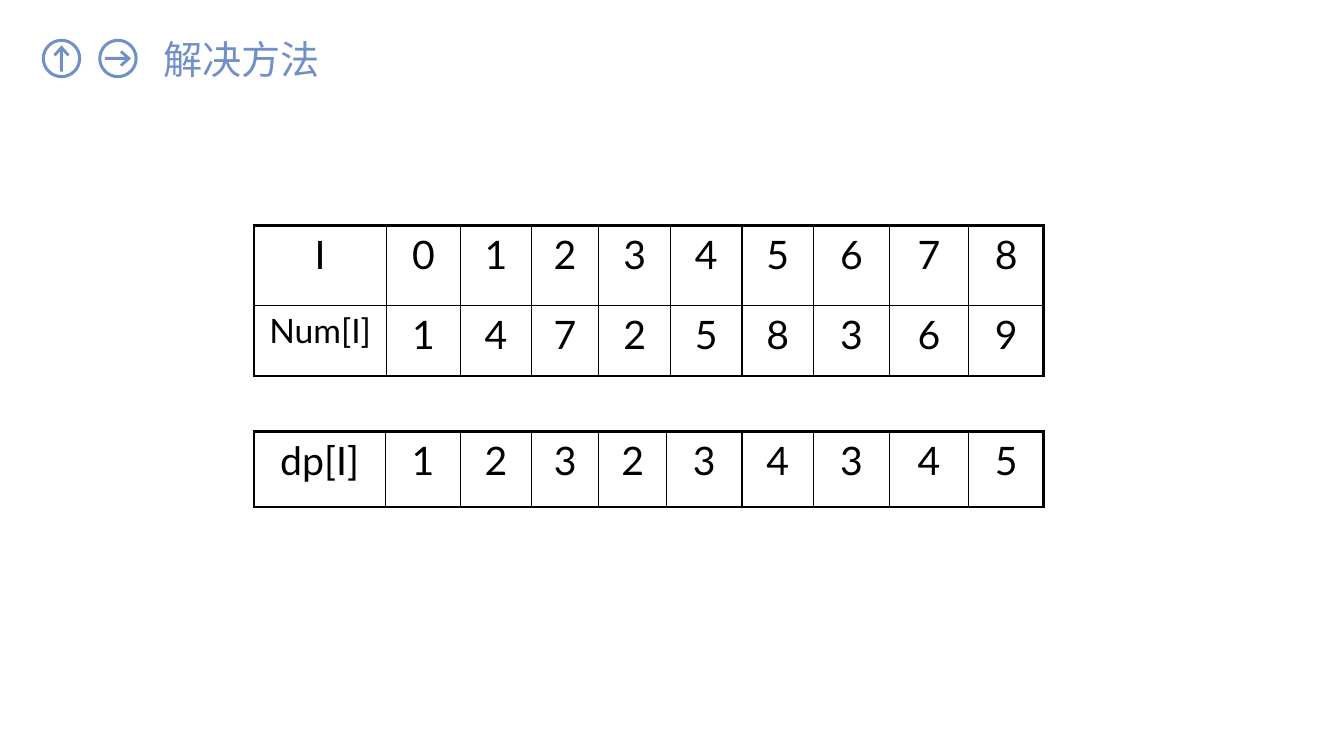
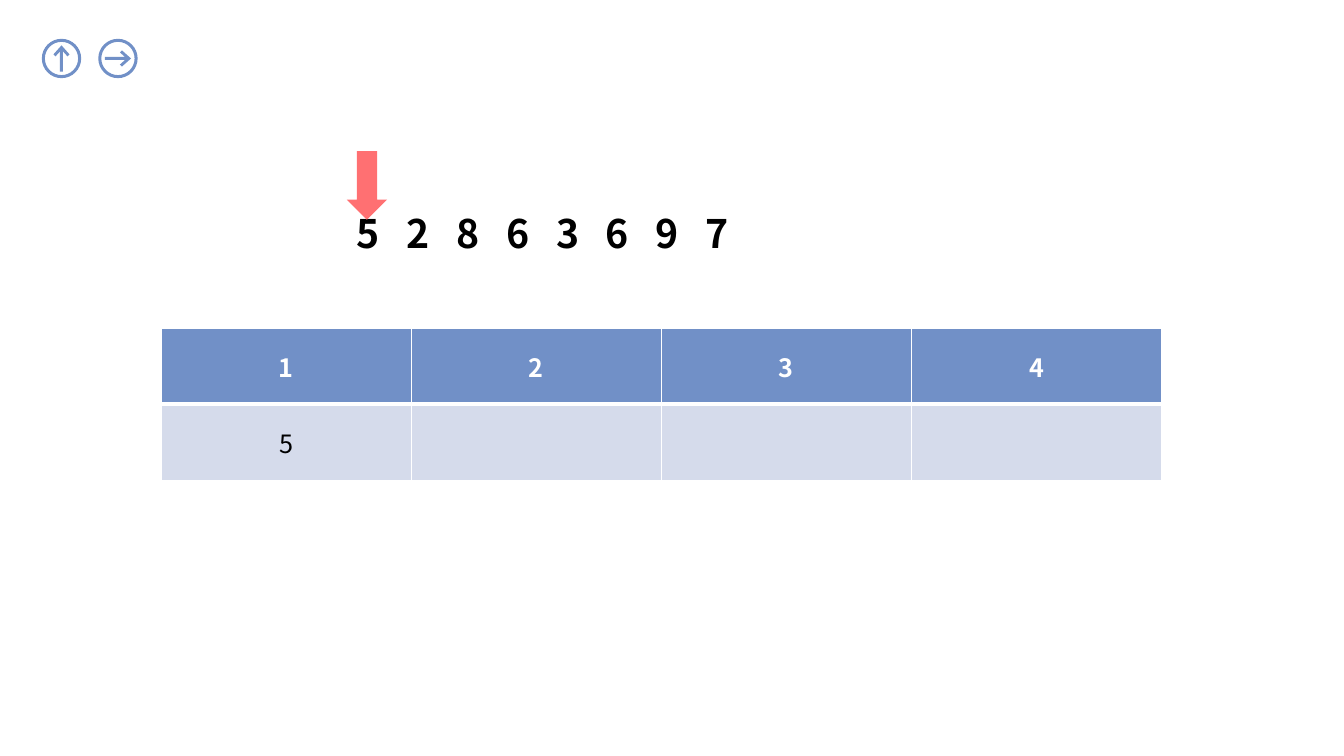
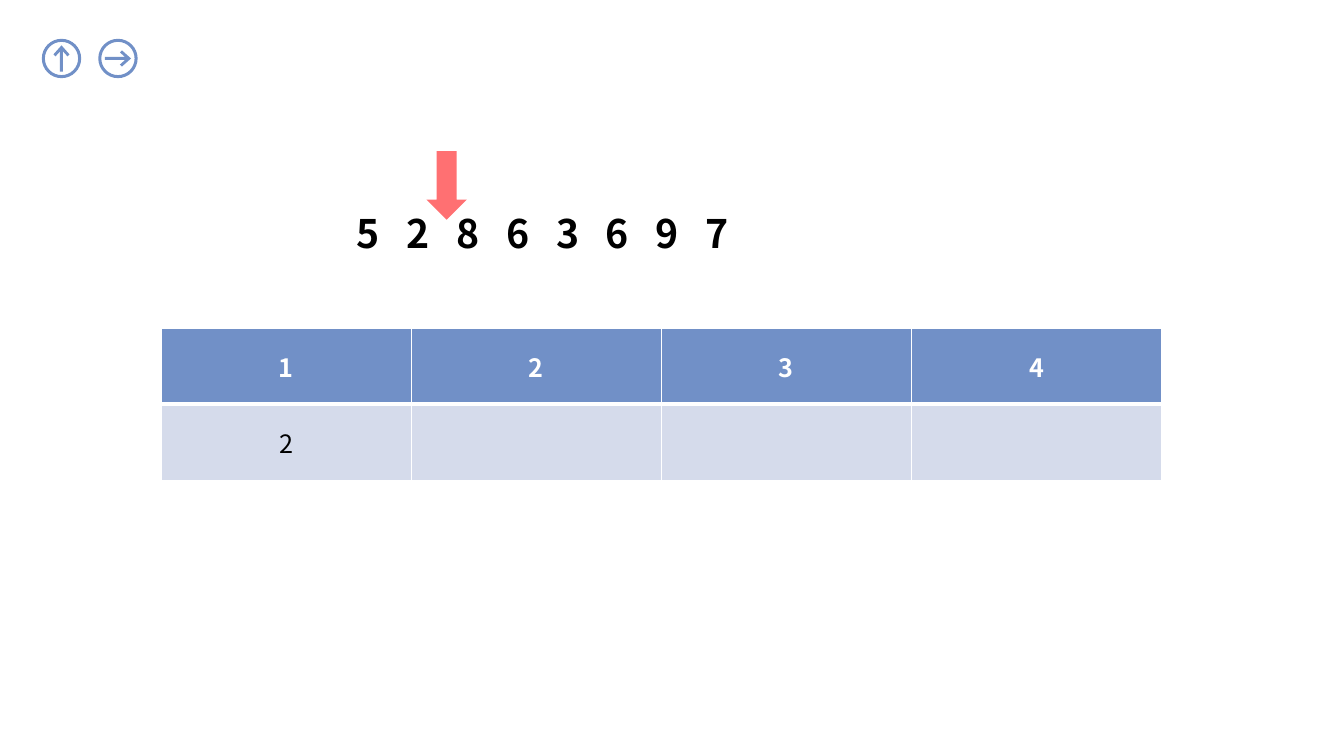
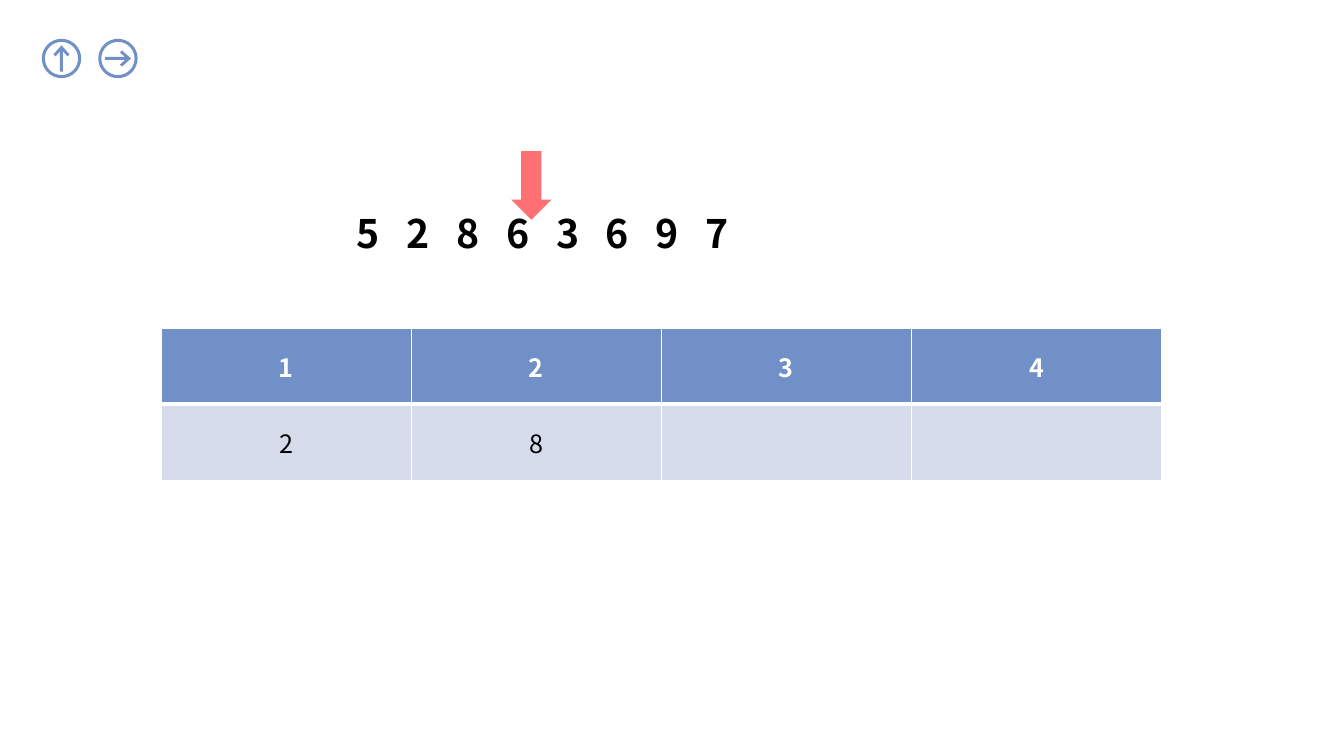
from dataclasses import dataclass

from lxml.etree import SubElement
from pptx import Presentation
from pptx.dml.color import RGBColor
from pptx.enum.shapes import MSO_SHAPE as Shape
from pptx.enum.text import MSO_ANCHOR as Anchor, MSO_AUTO_SIZE as AutoSize, PP_ALIGN as Align
from pptx.oxml.ns import qn
from pptx.util import Inches, Pt


@dataclass(frozen=True)
class Theme:
    blue: str = "7190C7"
    pale: str = "D5DBEB"
    red: str = "FF7072"
    black: str = "000000"
    white: str = "FFFFFF"
    cjk: str = "Noto Sans CJK SC"
    latin: str = "Lato"
    large: int = 28
    label: int = 24
    small: int = 18


THEME = Theme()
TITLE_ONLY, BLANK = 5, 6
ARC_HANDLE = 0.55  # Bezier handle of a quarter circle, as a share of its radius

# Content
INDEX_ROWS = [["I", *"012345678"], ["Num[I]", *"147258369"]]
INDEX_COLS = [1.31, 0.74, 0.7, 0.67, 0.71, 0.71, 0.71, 0.75, 0.79, 0.74]
DP_ROWS = [["dp[I]", *"123234345"]]
DP_COLS = [1.3, 0.75, 0.7, 0.67, 0.67, 0.75, 0.71, 0.75, 0.79, 0.74]
SEQUENCE = "52863697"
SEQUENCE_SPAN = 3.46  # from the first digit to the last
STEPS = [(3.44, "5"), (4.23, "2"), (5.07, "28")]  # pointer left, tail values


# Text and fills
def write(frame, text, *, size=THEME.large, font=THEME.cjk, color=THEME.black,
          bold=False, align=Align.LEFT):
    paragraph = frame.paragraphs[0]
    paragraph.alignment = align
    run = paragraph.add_run()
    run.text = text
    run.font.size = Pt(size)
    run.font.name = font
    run.font.bold = bold
    run.font.color.rgb = RGBColor.from_string(color)
    SubElement(run._r.get_or_add_rPr(), qn("a:ea"), typeface=font)
    return paragraph


def paint(shape, color):
    shape.shadow.inherit = False
    shape.fill.solid()
    shape.fill.fore_color.rgb = RGBColor.from_string(color)
    shape.line.fill.background()


# Round navigation icons, kept on the master
def diamond(radius):
    return [(radius, 0), (0, radius), (-radius, 0), (0, -radius), (radius, 0)]


def round_off(outline, segment, center):
    """Turn a side of a diamond into a quarter circle."""
    start = segment.getprevious()[-1]
    end = segment[0]
    x0, y0, x1, y1 = (int(point.get(axis)) for point in (start, end) for axis in "xy")
    handles = [(x0 + ARC_HANDLE * (x1 - center), y0 + ARC_HANDLE * (y1 - center)),
               (x1 + ARC_HANDLE * (x0 - center), y1 + ARC_HANDLE * (y0 - center)),
               (x1, y1)]
    curve = SubElement(outline, qn("a:cubicBezTo"))
    for x, y in handles:
        SubElement(curve, qn("a:pt"), x=str(round(x)), y=str(round(y)))
    outline.replace(segment, curve)


def add_icon(slide, master, center_x, center_y, pointing_right):
    half = [(0.08, -0.04), (0.06, -0.02), (0.015, -0.07), (0.015, 0.13)]
    arrow = [(0, -0.13), *half, *((-x, y) for x, y in reversed(half))]
    if pointing_right:
        arrow = [(-y, x) for x, y in arrow]
    contours = [[(Inches(center_x + x), Inches(center_y + y)) for x, y in contour]
                for contour in (diamond(0.195), diamond(0.165), arrow)]
    builder = slide.shapes.build_freeform(*contours[0][0])
    for number, contour in enumerate(contours):
        if number:
            builder.move_to(*contour[0])
        builder.add_line_segments(contour[1:], close=True)
    icon = builder.convert_to_shape()
    paint(icon, THEME.blue)
    outline = next(icon.element.iter(qn("a:path")))
    for segment in outline.findall(qn("a:lnTo"))[:8]:
        round_off(outline, segment, icon.width / 2)
    master.shapes.element.append(icon.element)


# Tables
def set_borders(cell, color, **widths):
    properties = cell._tc.get_or_add_tcPr()
    for side in "LRTB":
        line = SubElement(properties, qn(f"a:ln{side}"), w=str(Pt(widths[side])))
        SubElement(SubElement(line, qn("a:solidFill")), qn("a:srgbClr"), val=color)


def add_table(slide, left, top, col_widths, row_heights):
    table = slide.shapes.add_table(
        len(row_heights), len(col_widths), Inches(left), Inches(top),
        Inches(sum(col_widths)), Inches(sum(row_heights))).table
    table.horz_banding = False
    for column, width in zip(table.columns, col_widths):
        column.width = Inches(width)
    for row, height in zip(table.rows, row_heights):
        row.height = Inches(height)
    return table


def add_array_table(slide, top, rows, col_widths, row_heights):
    table = add_table(slide, 2.52, top, col_widths, row_heights)
    table.first_row = False
    last_row, last_col = len(rows) - 1, len(col_widths) - 1
    edge, inner = 2.25, 1
    for r, values in enumerate(rows):
        for c, value in enumerate(values):
            cell = table.cell(r, c)
            set_borders(cell, THEME.black,
                        L=inner if c else edge, R=edge if c == last_col else inner,
                        T=inner if r else edge, B=edge if r == last_row else inner)
            cell.fill.background()
            write(cell.text_frame, value, font=THEME.latin, align=Align.CENTER,
                  size=THEME.label if value == "Num[I]" else THEME.large)


def add_tail_table(slide, tails):
    table = add_table(slide, 1.6, 3.26, [2.48] * 4, [0.75, 0.76])
    for r, values in enumerate(("1234", tails)):
        header = r == 0
        for c in range(4):
            cell = table.cell(r, c)
            set_borders(cell, THEME.white, L=1, R=1,
                        T=1 if header else 3, B=3 if header else 1)
            cell.fill.solid()
            cell.fill.fore_color.rgb = RGBColor.from_string(THEME.blue if header else THEME.pale)
            cell.vertical_anchor = Anchor.MIDDLE
            if c < len(values):
                write(cell.text_frame, values[c], size=THEME.small, bold=header,
                      color=THEME.white if header else THEME.black, align=Align.CENTER)


# Sequence of digits with its pointer
def add_sequence(slide):
    box = slide.shapes.add_textbox(Inches(3.44), Inches(2.03), Inches(7.2), Inches(0.57))
    box.text_frame.word_wrap = True
    paragraph = write(box.text_frame, "\t".join(SEQUENCE), bold=True)
    stops = SubElement(paragraph._p.get_or_add_pPr(), qn("a:tabLst"))
    gaps = len(SEQUENCE) - 1
    for i in range(1, gaps + 1):
        SubElement(stops, qn("a:tab"), pos=str(Inches(SEQUENCE_SPAN * i / gaps)), algn="l")


def add_pointer(slide, left):
    pointer = slide.shapes.add_shape(
        Shape.DOWN_ARROW, Inches(left), Inches(1.5), Inches(0.4), Inches(0.68))
    paint(pointer, THEME.red)


# Slides
def add_solution_slide(prs):
    slide = prs.slides.add_slide(prs.slide_layouts[TITLE_ONLY])
    title = slide.shapes.title
    title.left, title.top = Inches(1.52), Inches(0.3)
    title.width, title.height = Inches(6.47), Inches(0.57)
    title.text_frame.auto_size = AutoSize.NONE
    title.text_frame.vertical_anchor = Anchor.MIDDLE
    write(title.text_frame, "解决方法", color=THEME.blue)
    add_array_table(slide, 2.24, INDEX_ROWS, INDEX_COLS, [0.79, 0.7])
    add_array_table(slide, 4.28, DP_ROWS, DP_COLS, [0.75])
    return slide


def add_step_slide(prs, pointer_left, tails):
    slide = prs.slides.add_slide(prs.slide_layouts[BLANK])
    add_sequence(slide)
    add_tail_table(slide, tails)
    add_pointer(slide, pointer_left)


def main():
    prs = Presentation()
    prs.slide_width, prs.slide_height = Inches(13.33), Inches(7.5)
    solution = add_solution_slide(prs)
    for center_x, pointing_right in ((1.17, True), (0.61, False)):
        add_icon(solution, prs.slide_master, center_x, 0.58, pointing_right)
    for pointer_left, tails in STEPS:
        add_step_slide(prs, pointer_left, tails)
    prs.save("out.pptx")


if __name__ == "__main__":
    main()
